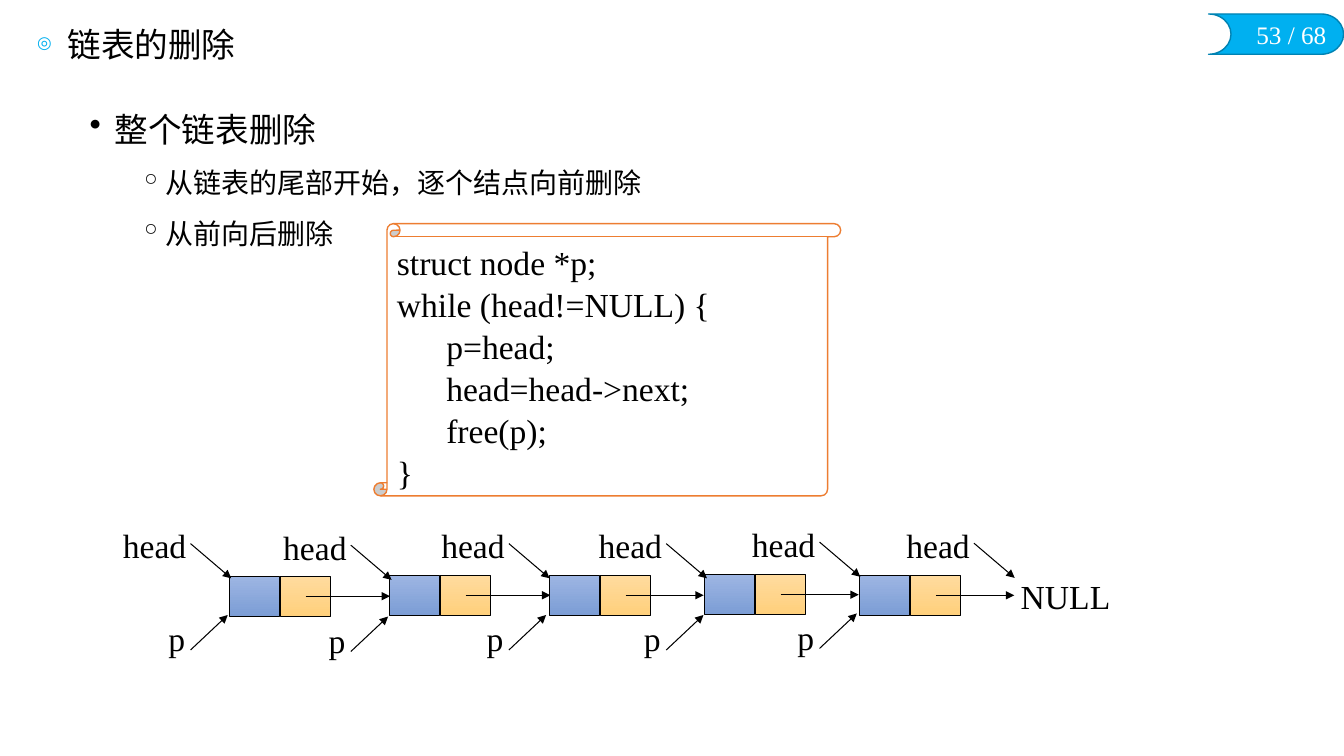
"""Build the slide on deleting a whole linked list."""
from dataclasses import dataclass
from typing import Optional

from lxml.etree import SubElement
from pptx import Presentation
from pptx.dml.color import RGBColor
from pptx.enum.shapes import MSO_CONNECTOR, MSO_SHAPE
from pptx.enum.text import MSO_ANCHOR, PP_ALIGN
from pptx.oxml.ns import qn
from pptx.util import Pt


@dataclass(frozen=True)
class Theme:
    font: str = "Times New Roman"
    ink: str = "000000"
    paper: str = "FFFFFF"
    accent: str = "00B0F0"
    accent_edge: str = "0082B2"
    scroll_edge: str = "ED7D31"
    data_cell: tuple = ("9DB5E3", "7C9DD5")
    link_cell: tuple = ("FFDB9E", "FFD07C")
    main_size: float = 24
    sub_size: float = 20
    page_size: float = 18


@dataclass(frozen=True)
class Bullet:
    char: str
    left: float
    hang: float
    color: Optional[str] = None
    percent: Optional[int] = None


@dataclass(frozen=True)
class Item:
    text: str
    size: float
    bullet: Bullet


@dataclass(frozen=True)
class Node:
    left: float
    top: float
    next_left: float


@dataclass(frozen=True)
class Pointer:
    left: float
    top: float
    has_p: bool = True


THEME = Theme()
TITLE_BULLET = Bullet("◎", 21.6, 21.6, THEME.accent, 50)
TOPIC_BULLET = Bullet("•", 18, 18)
METHOD_BULLET = Bullet("◦", 54, 18)
ITEMS = [
    Item("整个链表删除", THEME.main_size, TOPIC_BULLET),
    Item("从链表的尾部开始，逐个结点向前删除", THEME.sub_size, METHOD_BULLET),
    Item("从前向后删除", THEME.sub_size, METHOD_BULLET),
]
CODE = """struct node *p;
while (head!=NULL) {
\tp=head;
\thead=head->next;
\tfree(p);
}"""
NODES = [
    Node(164, 411.7, 278.6),
    Node(278.3, 411, 393.1),
    Node(392.5, 411, 502.6),
    Node(503.3, 410.6, 613.4),
    Node(614.2, 411, 724.5),
]
POINTERS = [
    Pointer(136.1, 388.3),
    Pointer(250.6, 389.4),
    Pointer(363.5, 388.3),
    Pointer(475.9, 388.3),
    Pointer(585.4, 387.2),
    Pointer(695.7, 388, has_p=False),
]
CELL_WIDTH, CELL_HEIGHT, CELL_STEP = 35.6, 28.4, 36.2


def rgb(color: str) -> RGBColor:
    return RGBColor.from_string(color)


def write(paragraph, text: str, size: float, color: str = THEME.ink) -> None:
    run = paragraph.add_run()
    run.text = text
    run.font.name = THEME.font
    run.font.size = Pt(size)
    run.font.color.rgb = rgb(color)


def set_bullet(paragraph, bullet: Bullet) -> None:
    properties = paragraph._p.get_or_add_pPr()
    properties.set("marL", str(Pt(bullet.left)))
    properties.set("indent", str(-Pt(bullet.hang)))
    if bullet.color:
        color = SubElement(properties, qn("a:buClr"))
        SubElement(color, qn("a:srgbClr")).set("val", bullet.color)
    if bullet.percent:
        SubElement(properties, qn("a:buSzPct")).set("val", str(bullet.percent * 1000))
    SubElement(properties, qn("a:buChar")).set("char", bullet.char)


def add_preset(slide, preset, left: float, top: float, width: float, height: float,
               edge: str, weight: float):
    shape = slide.shapes.add_shape(preset, Pt(left), Pt(top), Pt(width), Pt(height))
    shape.shadow.inherit = False
    shape.line.color.rgb = rgb(edge)
    shape.line.width = Pt(weight)
    return shape


def add_frame(slide, left: float, top: float, width: float, height: float):
    frame = slide.shapes.add_textbox(Pt(left), Pt(top), Pt(width), Pt(height)).text_frame
    frame.word_wrap = True
    return frame


def add_label(slide, text: str, left: float, top: float, width: float) -> None:
    frame = add_frame(slide, left, top, width, 36)
    write(frame.paragraphs[0], text, THEME.main_size)


def add_arrow(slide, left: float, top: float, right: float, bottom: float) -> None:
    arrow = slide.shapes.add_connector(
        MSO_CONNECTOR.STRAIGHT, Pt(left), Pt(top), Pt(right), Pt(bottom))
    arrow.line.color.rgb = rgb(THEME.ink)
    arrow.line.width = Pt(0.75)
    SubElement(arrow.line._get_or_add_ln(), qn("a:tailEnd")).set("type", "triangle")
    SubElement(arrow._element.spPr, qn("a:effectLst"))


def add_cell(slide, left: float, top: float, colors: tuple) -> None:
    cell = add_preset(slide, MSO_SHAPE.RECTANGLE, left, top, CELL_WIDTH, CELL_HEIGHT,
                      THEME.ink, 0.5)
    cell.fill.gradient()
    cell.fill.gradient_angle = 270
    for stop, color, position in zip(cell.fill.gradient_stops, colors, (0, 1)):
        stop.color.rgb = rgb(color)
        stop.position = position


def add_node(slide, node: Node) -> None:
    add_cell(slide, node.left, node.top, THEME.data_cell)
    add_cell(slide, node.left + CELL_STEP, node.top, THEME.link_cell)
    middle = node.top + CELL_HEIGHT / 2
    add_arrow(slide, node.left + 1.5 * CELL_STEP, middle, node.next_left, middle)


def add_pointer(slide, pointer: Pointer) -> None:
    left, top = pointer.left, pointer.top
    add_label(slide, "head", left - 55.4, top - 16.8, 61.2)
    add_arrow(slide, left, top, left + 29.1, top + 24.8)
    if pointer.has_p:
        add_label(slide, "p", left - 23, top + 49.7, 29.5)
        add_arrow(slide, left, top + 76, left + 26.6, top + 51)


def add_page_mark(slide) -> None:
    flag = add_preset(slide, MSO_SHAPE.FLOWCHART_STORED_DATA, 863.3, 10, 96.5, 28.8,
                      THEME.accent_edge, 1)
    flag.fill.solid()
    flag.fill.fore_color.rgb = rgb(THEME.accent)
    flag._element.spPr.xfrm.set("flipH", "1")
    page = add_frame(slide, 882, 10.1, 72.5, 28.8).paragraphs[0]
    page.alignment = PP_ALIGN.RIGHT
    write(page, "53 / 68", THEME.page_size, THEME.paper)


def format_title(slide) -> None:
    title = slide.shapes.title
    title.left, title.top, title.width, title.height = Pt(19.4), Pt(16.6), Pt(458.6), Pt(33.1)
    title.text_frame.vertical_anchor = MSO_ANCHOR.MIDDLE
    heading = title.text_frame.paragraphs[0]
    heading.alignment = PP_ALIGN.LEFT
    heading.line_spacing = 0.9
    set_bullet(heading, TITLE_BULLET)
    write(heading, "链表的删除", THEME.main_size)


def add_outline(slide) -> None:
    frame = add_frame(slide, 56.9, 74.2, 843, 437)
    for index, item in enumerate(ITEMS):
        paragraph = frame.add_paragraph() if index else frame.paragraphs[0]
        paragraph.space_before = Pt(6 if index else 0)
        paragraph.space_after = Pt(6)
        set_bullet(paragraph, item.bullet)
        write(paragraph, item.text, item.size)


def add_code_scroll(slide) -> None:
    scroll = add_preset(slide, MSO_SHAPE.VERTICAL_SCROLL, 267.1, 159.8, 333.4, 194.4,
                        THEME.scroll_edge, 1)
    scroll.adjustments[0] = 0.048
    scroll.fill.solid()
    scroll.fill.fore_color.rgb = rgb(THEME.paper)
    frame = scroll.text_frame
    frame.vertical_anchor = MSO_ANCHOR.TOP
    for index, line in enumerate(CODE.split("\n")):
        paragraph = frame.add_paragraph() if index else frame.paragraphs[0]
        paragraph.alignment = PP_ALIGN.LEFT
        paragraph.space_before = Pt(1.2 if index else 0)
        tabs = SubElement(paragraph._p.get_or_add_pPr(), qn("a:tabLst"))
        SubElement(tabs, qn("a:tab"), pos=str(Pt(35.3)), algn="l")
        write(paragraph, line, THEME.main_size)


def main() -> None:
    deck = Presentation()
    deck.slide_width, deck.slide_height = Pt(960), Pt(540)
    slide = deck.slides.add_slide(deck.slide_layouts[5])
    add_page_mark(slide)
    format_title(slide)
    add_outline(slide)
    add_code_scroll(slide)
    for node in NODES:
        add_node(slide, node)
    for pointer in POINTERS:
        add_pointer(slide, pointer)
    add_label(slide, "NULL", 722, 408.2, 81.4)
    deck.save("out.pptx")


if __name__ == "__main__":
    main()
